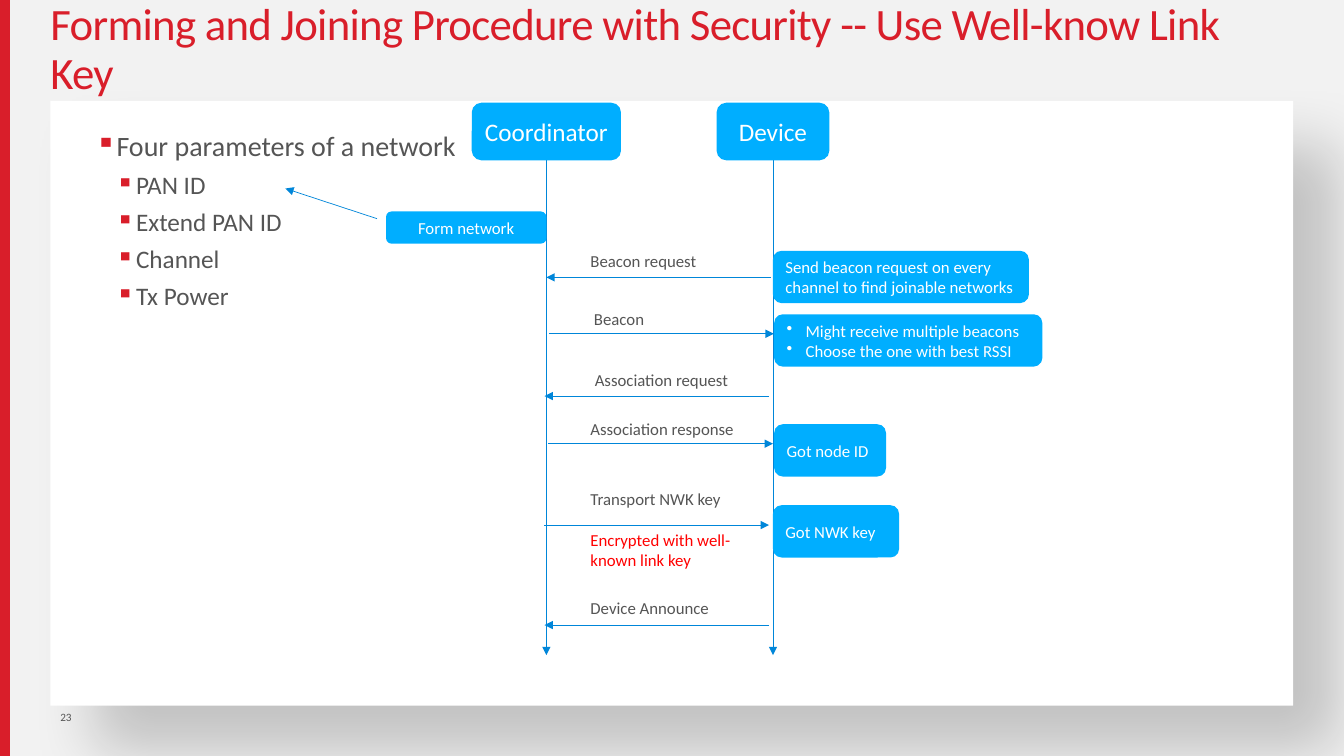
from lxml import etree
from pptx import Presentation
from pptx.dml.color import RGBColor
from pptx.enum.shapes import MSO_CONNECTOR, MSO_SHAPE
from pptx.enum.text import MSO_ANCHOR, PP_ALIGN
from pptx.oxml.ns import qn
from pptx.util import Cm, Pt

RECT, ROUND = MSO_SHAPE.RECTANGLE, MSO_SHAPE.ROUNDED_RECTANGLE
STRAIGHT = MSO_CONNECTOR.STRAIGHT
TOP, MIDDLE = MSO_ANCHOR.TOP, MSO_ANCHOR.MIDDLE
LEFT, CENTER = PP_ALIGN.LEFT, PP_ALIGN.CENTER
FONT = "Calibri"
COLORS = {"back": "F2F2F2", "brand": "D91E2A", "panel": "FFFFFF", "text": "555555",
          "box": "00AEFF", "line": "0086D9", "white": "FFFFFF", "alert": "FF0000",
          "shade": "000000"}


def rgb(name):
    return RGBColor.from_string(COLORS[name])


def node(parent, tag, **attrs):
    child = etree.SubElement(parent, qn(tag))
    for key, value in attrs.items():
        child.set(key, str(value))
    return child


# Basic parts
def add_run(para, text, size, color):
    run = para.add_run()
    run.text = text
    run.font.name = FONT
    run.font.size = Pt(size)
    run.font.color.rgb = rgb(color)
    return run


def add_bullet(para, char, indent, hang, color=None):
    props = para._p.get_or_add_pPr()
    props.set("marL", str(Cm(indent)))
    props.set("indent", str(-Cm(hang)))
    if color:
        node(node(props, "a:buClr"), "a:srgbClr", val=COLORS[color])
    node(props, "a:buChar", char=char)


def add_box(slide, kind, box, fill):
    shape = slide.shapes.add_shape(kind, *map(Cm, box))
    shape.shadow.inherit = False
    shape.fill.solid()
    shape.fill.fore_color.rgb = rgb(fill)
    shape.line.fill.background()
    return shape


def fill_text(shape, lines, size, color, align=LEFT, anchor=MIDDLE):
    frame = shape.text_frame
    frame.word_wrap = True
    frame.vertical_anchor = anchor
    for i, line in enumerate(lines):
        para = frame.add_paragraph() if i else frame.paragraphs[0]
        para.alignment = align
        add_run(para, line, size, color)
    return frame.paragraphs


def add_text(slide, box, text, size, color, **place):
    shape = slide.shapes.add_textbox(*map(Cm, box))
    return fill_text(shape, [text], size, color, **place)[0]


def add_card(slide, box, lines, size=12, align=CENTER):
    card = add_box(slide, ROUND, box, "box")
    return fill_text(card, lines, size, "white", align)


def add_arrow(slide, x1, y1, x2, y2):
    arrow = slide.shapes.add_connector(STRAIGHT, *map(Cm, (x1, y1, x2, y2)))
    arrow.line.color.rgb = rgb("line")
    arrow.line.width = Pt(0.5)
    node(arrow.line._get_or_add_ln(), "a:tailEnd", type="triangle")
    node(arrow._element.spPr, "a:effectLst")


# Red bar, white panel with shadow, page number
def draw_frame(slide, box):
    x, y, w, h = box
    slide.background.fill.solid()
    slide.background.fill.fore_color.rgb = rgb("back")
    add_box(slide, RECT, (x, y, 0.25, h), "brand")
    panel = add_box(slide, RECT, (x + 1.27, y + 2.54, w - 2.55, h - 3.81), "panel")
    effects = panel._element.spPr.find(qn("a:effectLst"))
    shade = node(effects, "a:outerShdw", blurRad=Pt(45), dist=Pt(45),
                 dir=45 * 60000, algn="tl", rotWithShape=0)
    node(node(shade, "a:srgbClr", val=COLORS["shade"]), "a:alpha", val=20000)
    add_text(slide, (x + 1.27, y + h - 1.27, 0.89, 1.27), "23", 8, "text", anchor=TOP)


def draw_title(slide, box):
    text = "Forming and Joining Procedure with Security -- Use Well-know Link Key"
    para = add_text(slide, box, text, 32, "brand")
    para.line_spacing = 0.9
    para.runs[0].font._element.set("spc", "-50")


# Bullet list on the left
def draw_list(slide, box):
    lines = ["Four parameters of a network", "PAN ID", "Extend PAN ID", "Channel", "Tx Power"]
    shape = slide.shapes.add_textbox(*map(Cm, box))
    paras = fill_text(shape, lines, 18, "text", anchor=TOP)
    for i, para in enumerate(paras):
        para.level = 1 if i else 0
        para.line_spacing = 0.95
        para.space_before = Pt(6 if i else 12)
        add_bullet(para, "▪", 1.02 if i else 0.51, 0.51, "brand")
    paras[0].runs[0].font.size = Pt(20)


# Sequence chart: two lifelines, messages and notes
def draw_flow(slide, box):
    x, y, w, h = box
    coord, device = x + 4.04, x + 9.75
    head = 1.45
    for name, mid, wide in (("Coordinator", coord, 3.76), ("Device", device, 2.84)):
        add_arrow(slide, mid, y + head, mid, y + h)
        add_card(slide, (mid - wide / 2, y, wide, head), [name], 18)

    add_card(slide, (x, y + 2.74, coord - x, 0.81), ["Form network"])
    add_arrow(slide, x - 0.23, y + 2.92, x - 2.54, y + 2.16)

    # Label, arrow height, arrow shift, direction, label shift, label rise
    span = 5.66
    steps = [
        ("Beacon request", 4.4, 0, "left", 0.86, 0.79),
        ("Beacon", 5.82, 0.07, "right", 0.95, 0.76),
        ("Association request", 7.39, -0.05, "left", 0.97, 0.79),
        ("Association response", 8.59, 0.05, "right", 0.86, 0.77),
        ("Transport NWK key", 10.64, -0.05, "right", 0.86, 1.04),
        ("Device Announce", 13.16, -0.05, "left", 0.86, 0.81),
    ]
    for label, down, shift, way, gap, rise in steps:
        ends = [coord + shift, coord + shift + span]
        if way == "left":
            ends.reverse()
        add_arrow(slide, ends[0], y + down, ends[1], y + down)
        add_text(slide, (coord + gap, y + down - rise, 4.47, 0.77), label, 12, "text")
    add_text(slide, (coord + 0.86, y + 10.64, 4.47, 1.27),
             "Encrypted with well-known link key", 12, "alert")

    notes = [
        (3.73, 0, 6.45, ["Send beacon request on every channel to find joinable networks"]),
        (5.33, 0.03, 6.76, ["Might receive multiple beacons", "Choose the one with best RSSI"]),
        (8.1, 0.03, 2.82, ["Got node ID"]),
        (10.14, 0, 3.18, ["Got NWK key"]),
    ]
    for down, shift, wide, lines in notes:
        paras = add_card(slide, (device + shift, y + down, wide, 1.32), lines, align=LEFT)
        if len(lines) > 1:
            for para in paras:
                add_bullet(para, "•", 0.48, 0.48)


def main():
    deck = Presentation()
    wide, high = 33.87, 19.05
    deck.slide_width, deck.slide_height = Cm(wide), Cm(high)
    slide = deck.slides.add_slide(deck.slide_layouts[6])
    draw_frame(slide, (0, 0, wide, high))
    draw_title(slide, (1.02, 0, 31.57, 2.54))
    draw_list(slide, (2.16, 3.18, 10.34, 5.18))
    draw_flow(slide, (9.73, 2.59, 16.51, 13.92))
    deck.save("out.pptx")


if __name__ == "__main__":
    main()
